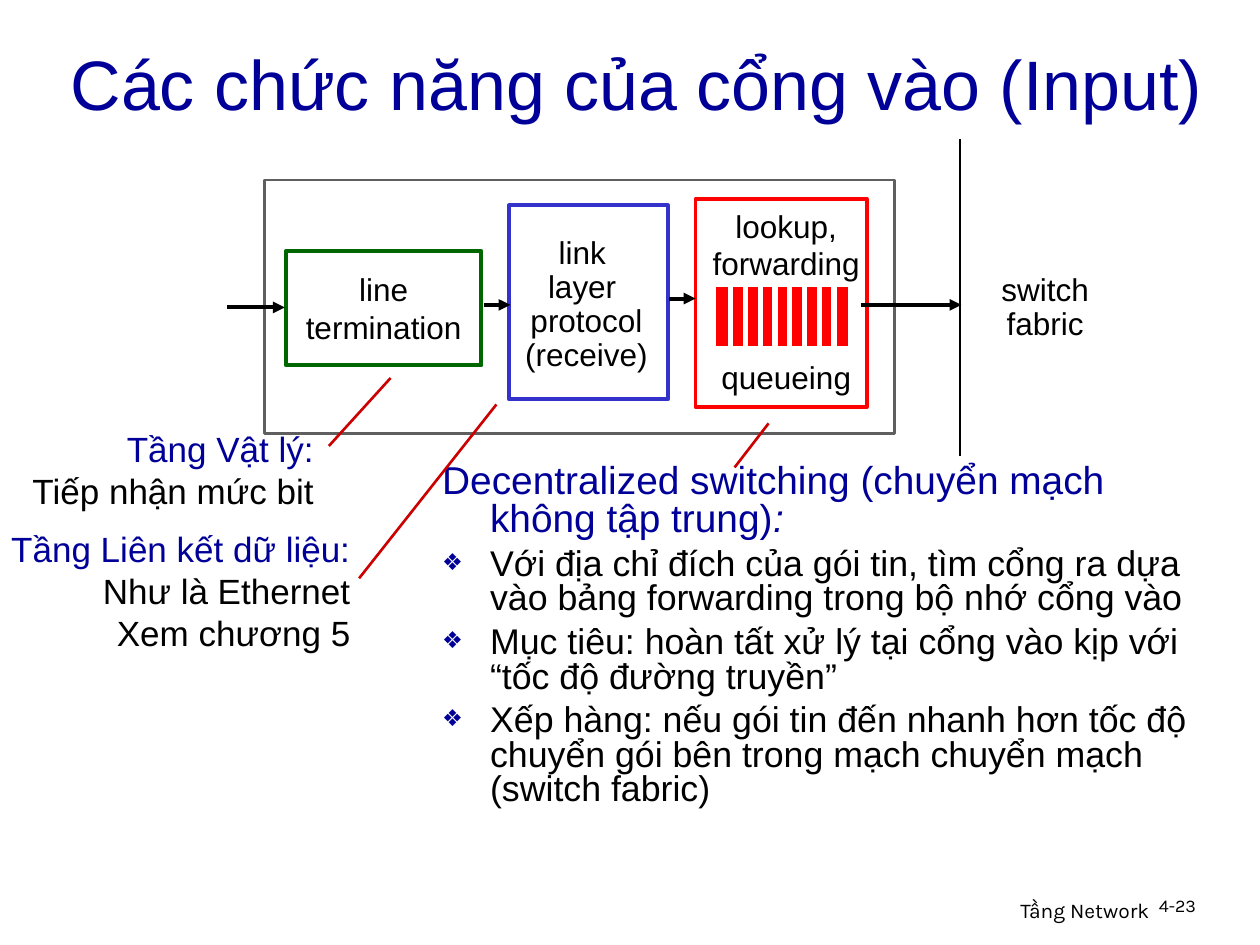
from lxml.etree import SubElement
from pptx import Presentation
from pptx.dml.color import RGBColor
from pptx.enum.shapes import MSO_CONNECTOR, MSO_SHAPE
from pptx.enum.text import MSO_ANCHOR, MSO_AUTO_SIZE, PP_ALIGN
from pptx.oxml.ns import qn
from pptx.util import Inches, Pt

COLORS = {
    "navy": "000099", "black": "000000", "white": "FFFFFF", "gray": "5F5F5F",
    "green": "006600", "blue": "3333CC", "red": "FF0000", "dark_red": "CC0000",
}


def rgb(name):
    """Return the named colour."""
    return RGBColor.from_string(COLORS[name])


class Deck:
    """Style and current slide, with a method for each kind of element."""

    font = "Arial"

    def __init__(self, slide):
        self.slide = slide

    def format_run(self, r, size, color="black", font=None):
        """Set the font of one run."""
        r.font.name = font or self.font
        r.font.size = Pt(size)
        r.font.color.rgb = rgb(color)

    def lines(self, tf, texts, size, align, spacing=None, first="black", font=None):
        """Write one paragraph per text; the first may have its own colour."""
        tf.text = "\n".join(texts)
        for i, p in enumerate(tf.paragraphs):
            p.alignment = align
            p.line_spacing = spacing
            self.format_run(p.runs[0], size, "black" if i else first, font)

    def label(self, x, y, w, h, texts, size, align=PP_ALIGN.CENTER, wrap=False, **style):
        """Add a plain text box."""
        tf = self.slide.shapes.add_textbox(*map(Inches, (x, y, w, h))).text_frame
        tf.word_wrap = wrap
        self.lines(tf, texts, size, align, **style)

    def box(self, x, y, w, h, line=None, width=2.24, fill="white", texts=(),
            spacing=None, shapes=None):
        """Add a rectangle, with centred text if any."""
        shapes = shapes or self.slide.shapes
        sp = shapes.add_shape(MSO_SHAPE.RECTANGLE, *map(Inches, (x, y, w, h)))
        sp.shadow.inherit = False
        sp.fill.solid()
        sp.fill.fore_color.rgb = rgb(fill)
        if line:
            sp.line.color.rgb = rgb(line)
            sp.line.width = Pt(width)
        else:
            sp.line.fill.background()
        if texts:
            tf = sp.text_frame
            tf.word_wrap = False
            tf.vertical_anchor = MSO_ANCHOR.MIDDLE
            self.lines(tf, texts, 18, PP_ALIGN.CENTER, spacing)

    def line(self, x1, y1, x2, y2, color="black", width=2.24, arrow=False, shapes=None):
        """Add a straight line, optionally with an arrowhead at its end."""
        shapes = shapes or self.slide.shapes
        cn = shapes.add_connector(MSO_CONNECTOR.STRAIGHT, *map(Inches, (x1, y1, x2, y2)))
        cn.line.color.rgb = rgb(color)
        cn.line.width = Pt(width)
        if arrow:
            SubElement(cn.line._get_or_add_ln(), qn("a:tailEnd"), type="triangle")
        SubElement(cn._element.spPr, qn("a:effectLst"))

    def queue(self, x, y, w, h, cells):
        """Add a grouped bar split into cells by white lines."""
        shapes = self.slide.shapes.add_group_shape().shapes
        self.box(x, y, w, h, "white", 3, "red", shapes=shapes)
        step = (w - 0.27) / (cells - 2)
        for i in range(cells - 1):
            at = x + 0.14 + i * step
            self.line(at, y, at, y + 0.49, "white", 3, shapes=shapes)

    def place(self, sp, x, y, w, h):
        """Move a placeholder and return its text frame."""
        sp.left, sp.top, sp.width, sp.height = map(Inches, (x, y, w, h))
        sp.text_frame.word_wrap = True
        sp.text_frame.auto_size = MSO_AUTO_SIZE.NONE
        return sp.text_frame

    def title(self, text):
        """Fill the title placeholder."""
        tf = self.place(self.slide.shapes.title, 0.46, 0.32, 9.54, 0.67)
        tf.vertical_anchor = MSO_ANCHOR.MIDDLE
        self.lines(tf, [text], 40, PP_ALIGN.LEFT, first="navy")

    def body(self, heading, items):
        """Fill the body placeholder with a heading and a bulleted list."""
        tf = self.place(self.slide.placeholders[1], 3.41, 3.64, 6.26, 2.92)
        self.lines(tf, [heading, *items], 20.4, PP_ALIGN.LEFT, 0.8)
        for i, p in enumerate(tf.paragraphs):
            p.space_before = Pt(5.5 if i else 6)
            pPr = p._p.get_or_add_pPr()
            pPr.set("marL", str(Inches(0.38)))
            pPr.set("indent", str(-Inches(0.38)))
            if i:
                clr = SubElement(pPr, qn("a:buClr"))
                SubElement(clr, qn("a:srgbClr"), val=COLORS["navy"])
                SubElement(pPr, qn("a:buSzPct"), val="65000")
                SubElement(pPr, qn("a:buChar"), char="❖")
            else:
                SubElement(pPr, qn("a:buNone"))
        p = tf.paragraphs[0]
        r = p.add_run()
        r.text = ": "
        r.font.italic = True
        for r in p.runs:
            self.format_run(r, 22.2, "navy")


def main():
    """Build the slide and save it."""
    prs = Presentation()
    prs.slide_width, prs.slide_height = Inches(10), Inches(7.5)
    s = Deck(prs.slides.add_slide(prs.slide_layouts[1]))

    s.title("Các chức năng của cổng vào (Input)")
    s.body("Decentralized switching (chuyển mạch không tập trung)", [
        "Với địa chỉ đích của gói tin, tìm cổng ra dựa vào bảng forwarding "
        "trong bộ nhớ cổng vào",
        "Mục tiêu: hoàn tất xử lý tại cổng vào kịp với “tốc độ đường truyền”",
        "Xếp hàng: nếu gói tin đến nhanh hơn tốc độ chuyển gói bên trong "
        "mạch chuyển mạch (switch fabric)",
    ])
    s.label(6.05, 7.07, 3.17, 0.31, ["Tầng Network"], 12, PP_ALIGN.RIGHT, True,
            font="Karla")
    s.label(9.1, 7.07, 0.74, 0.3, ["4-23"], 10.2, PP_ALIGN.LEFT, True,
            spacing=0.9, font="Karla")

    # Input port and its three stages
    s.box(2.1, 1.43, 5, 2.01, "gray", 1.5)
    s.box(2.27, 1.99, 1.55, 0.91, "green", texts=["line", "termination"])
    s.box(4.04, 1.63, 1.26, 1.54, "blue")
    s.box(5.52, 1.58, 1.36, 1.65, "red")
    for x1, x2, y in [(1.8, 2.26, 2.44), (3.84, 4.05, 2.42),
                      (5.31, 5.52, 2.37), (6.83, 7.63, 2.42)]:
        s.line(x1, y, x2, y, arrow=True)
    s.box(4.08, 1.97, 1.15, 0.91, spacing=0.9,
          texts=["link ", "layer ", "protocol", "(receive)"])
    s.label(5.44, 1.59, 1.6, 0.7, ["lookup,", "forwarding"], 18)
    s.label(5.44, 2.79, 1.6, 0.4, ["queueing"], 18)
    s.queue(5.66, 2.26, 1.09, 0.51, 9)

    # Switch fabric
    s.line(7.62, 1.1, 7.62, 3.62, width=0.74)
    s.box(7.72, 1.99, 1.15, 0.91, spacing=0.9, texts=["switch", "fabric"])

    # Layer notes and their leader lines
    s.label(0.15, 3.34, 2.44, 0.77, ["Tầng Vật lý:", "Tiếp nhận mức bit"],
            20, PP_ALIGN.RIGHT, first="navy")
    s.label(-0.01, 4.14, 2.89, 1.1,
            ["Tầng Liên kết dữ liệu:", "Như là Ethernet", "Xem chương 5"],
            20, PP_ALIGN.RIGHT, first="navy")
    for ends in [(2.61, 3.54, 3.1, 3), (2.85, 4.59, 3.94, 3.21),
                 (5.83, 3.71, 6.1, 3.36)]:
        s.line(*ends, color="dark_red", width=1.5)

    prs.save("out.pptx")


main()
